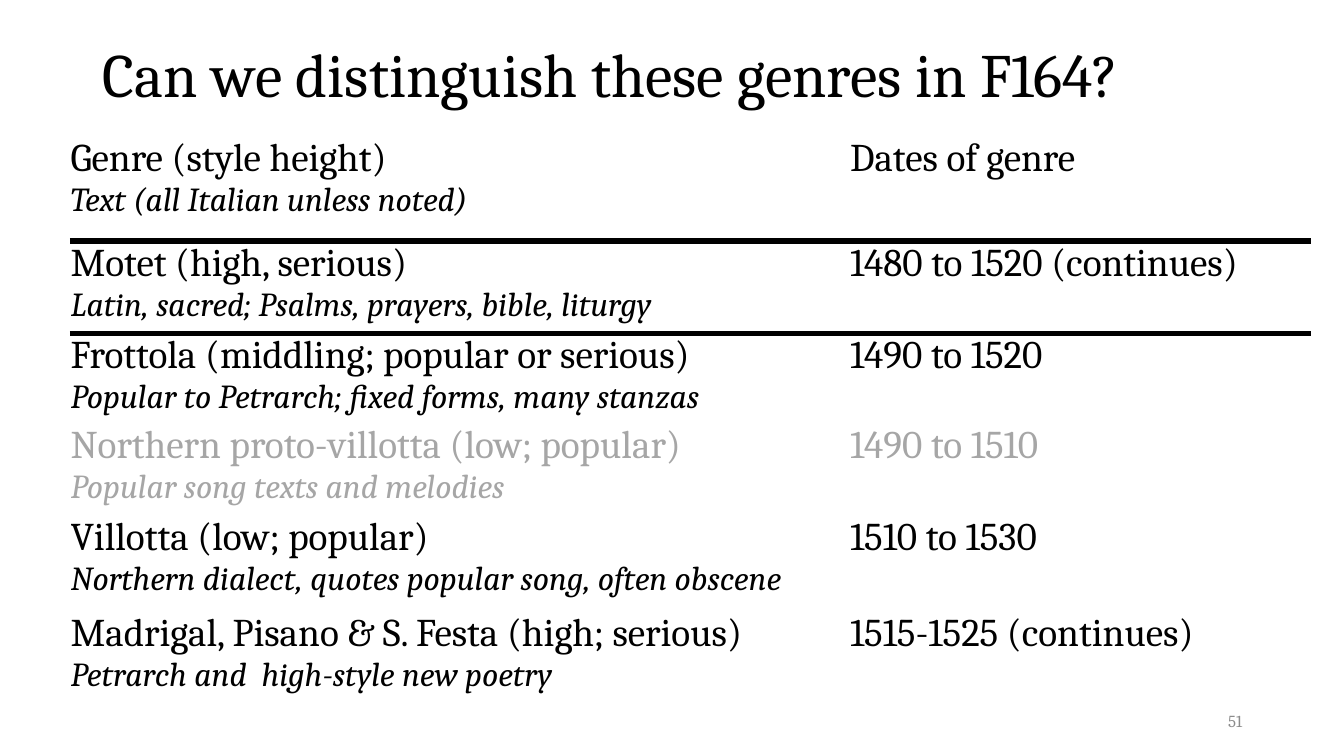
from dataclasses import dataclass
from lxml.etree import SubElement as Sub
from pptx import Presentation as Deck
from pptx.dml.color import RGBColor as Color
from pptx.enum.text import MSO_ANCHOR as Anchor, PP_ALIGN as Align
from pptx.oxml.ns import qn
from pptx.util import Inches, Pt


@dataclass(frozen=True)
class Theme:
    font: str = "Cambria"
    ink: str = "000000"
    dim: str = "A6A6A6"
    note: str = "8C8C8C"
    title: int = 44
    head: int = 28
    sub: int = 24
    small: int = 12
    rule: float = 4.5


def write(para, text, *, font, size, color, slant=False, align=Align.LEFT, space=1.0):
    run = para.add_run()
    run.text = text
    run.font.name = font
    run.font.size = Pt(size)
    run.font.italic = slant
    run.font.color.rgb = Color.from_string(color)
    para.alignment = align
    para.line_spacing = space


class Page:
    """Draws on one slide in a theme, with lengths in percent of the slide's size."""

    def __init__(self, deck, theme):
        self.deck = deck
        self.theme = theme
        self.slide = deck.slides.add_slide(deck.slide_layouts[6])

    def wide(self, share):
        return round(self.deck.slide_width * share / 100)

    def high(self, share):
        return round(self.deck.slide_height * share / 100)

    def place(self, x, y, w, h):
        return self.wide(x), self.high(y), self.wide(w), self.high(h)

    def text(self, area, text, **form):
        frame = self.slide.shapes.add_textbox(*self.place(*area)).text_frame
        frame.word_wrap = True
        frame.vertical_anchor = Anchor.MIDDLE
        write(frame.paragraphs[0], text, font=self.theme.font, **form)

    def edge(self, cell, side):
        props = cell._tc.get_or_add_tcPr()
        line = Sub(props, qn(f"a:{side}"), w=str(Pt(self.theme.rule)))
        fill = Sub(line, qn("a:solidFill"))
        Sub(fill, qn("a:srgbClr"), val=self.theme.ink)
        props.insert(0, line)

    def cell(self, cell, lines, color):
        cell.margin_left = cell.margin_right = 0
        cell.margin_top = cell.margin_bottom = 0
        cell.fill.background()
        frame = cell.text_frame
        for i, text in enumerate(lines):
            para = frame.add_paragraph() if i else frame.paragraphs[0]
            size = self.theme.sub if i else self.theme.head
            write(para, text, font=self.theme.font, size=size, color=color, slant=i > 0)

    def table(self, x, y, cols, rows, data):
        area = self.place(x, y, sum(cols), sum(rows))
        table = self.slide.shapes.add_table(len(rows), len(cols), *area).table
        table.first_row = table.horz_banding = False
        for col, share in zip(table.columns, cols):
            col.width = self.wide(share)
        for row, share in zip(table.rows, rows):
            row.height = self.high(share)
        for i, (genre, words, dates, color) in enumerate(data):
            for j, lines in enumerate(((genre, words), (dates,))):
                cell = table.cell(i, j)
                self.cell(cell, lines, color)
                if i < 2:
                    self.edge(cell, ("lnB", "lnT")[i])


def main():
    theme = Theme()
    deck = Deck()
    deck.slide_width = Inches(13.33)
    deck.slide_height = Inches(7.5)
    page = Page(deck, theme)
    ink = theme.ink
    genres = [
        ("Genre (style height)", "Text (all Italian unless noted)",
         "Dates of genre", ink),
        ("Motet (high, serious)", "Latin, sacred; Psalms, prayers, bible, liturgy",
         "1480 to 1520 (continues)", ink),
        ("Frottola (middling; popular or serious)",
         "Popular to Petrarch; fixed forms, many stanzas", "1490 to 1520", ink),
        ("Northern proto-villotta (low; popular)",
         "Popular song texts and melodies", "1490 to 1510", theme.dim),
        ("Villotta (low; popular)",
         "Northern dialect, quotes popular song, often obscene", "1510 to 1530", ink),
        ("Madrigal, Pisano & S. Festa (high; serious)",
         "Petrarch and  high-style new poetry", "1515-1525 (continues)", ink),
    ]
    page.text((6.9, 3.07, 86.27, 14.4), "Can we distinguish these genres in F164?",
              size=theme.title, color=ink, space=0.9)
    page.table(5.25, 18, (58, 34.28), (13.87, 12.27, 11.87, 12.13, 12.67, 13.87), genres)
    page.text((70.67, 92.67, 22.5, 5.33), "51",
              size=theme.small, color=theme.note, align=Align.RIGHT)
    deck.save("out.pptx")


if __name__ == "__main__":
    main()
